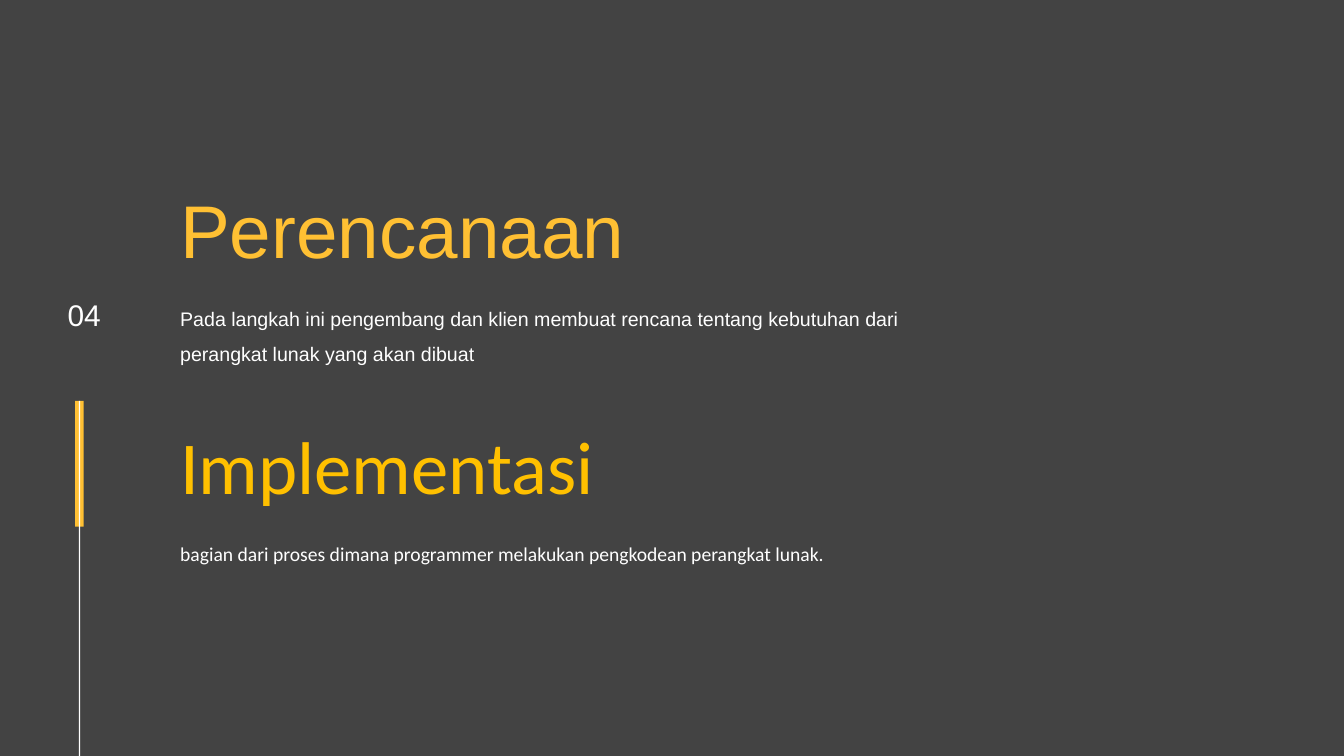
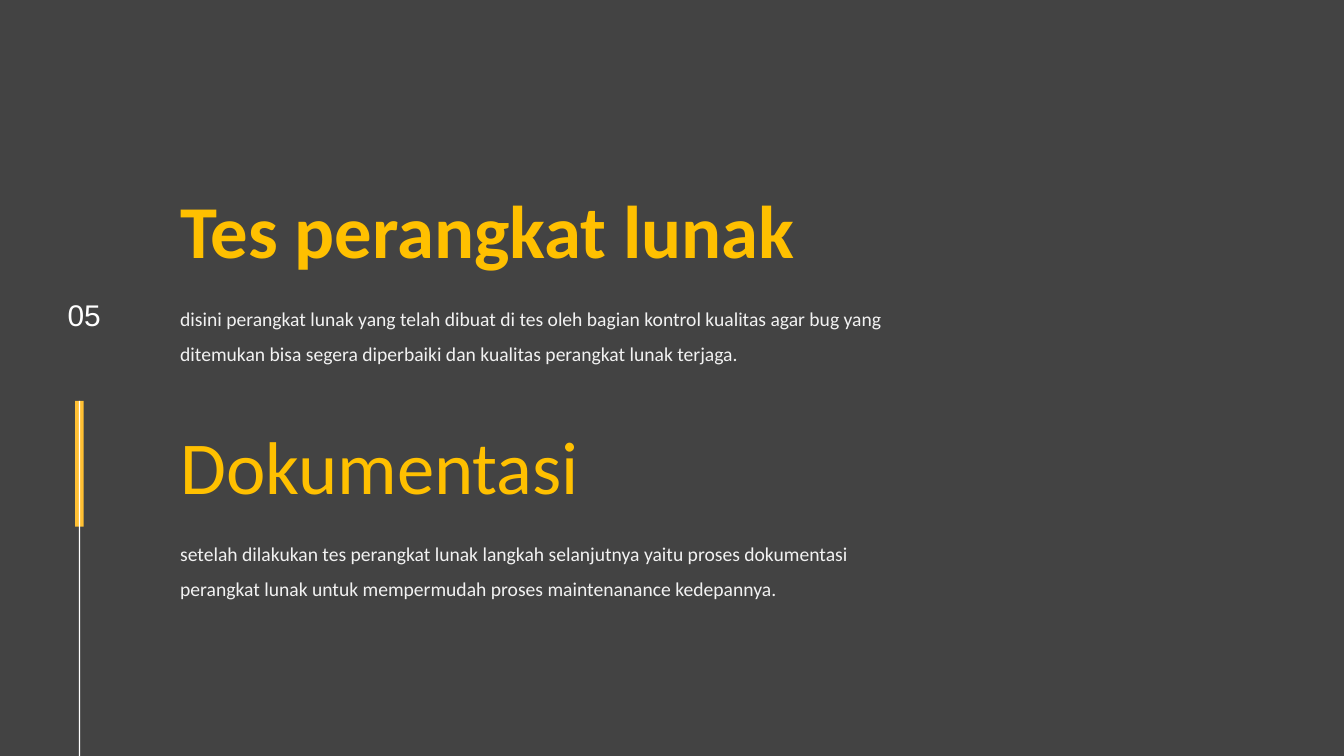
"""Build two dark section slides with a numbered rail and paired topics."""
from pptx import Presentation
from pptx.dml.color import RGBColor
from pptx.enum.shapes import MSO_SHAPE
from pptx.enum.text import MSO_ANCHOR, MSO_AUTO_SIZE, PP_ALIGN
from pptx.util import Cm, Pt
from lxml import etree

RECT = MSO_SHAPE.RECTANGLE
TOP = MSO_ANCHOR.TOP
FIXED = MSO_AUTO_SIZE.NONE
LEFT, MID = PP_ALIGN.LEFT, PP_ALIGN.CENTER

HUES = {"back": "434343", "amber": "FFC033", "gold": "FFC000",
        "white": "FFFFFF", "pale": "F2F2F2"}
WIDE, HIGH = 50.8, 28.58
EDGE = 6.81
FIRST, STEP, DROP = 6.63, 8.89, 4.52

PAGES = [
    ("04", "white", [
        ("Perencanaan", "Arial", "amber", False,
         "Pada langkah ini pengembang dan klien membuat rencana tentang "
         "kebutuhan dari perangkat lunak yang akan dibuat"),
        ("Implementasi", "Calibri", "gold", False,
         "bagian dari proses dimana programmer melakukan pengkodean "
         "perangkat lunak."),
    ]),
    ("05", "pale", [
        ("Tes perangkat lunak", "Calibri", "gold", True,
         "disini perangkat lunak yang telah dibuat di tes oleh bagian kontrol "
         "kualitas agar bug yang ditemukan bisa segera diperbaiki dan "
         "kualitas perangkat lunak terjaga."),
        ("Dokumentasi", "Calibri", "gold", False,
         "setelah dilakukan tes perangkat lunak langkah selanjutnya yaitu "
         "proses dokumentasi perangkat lunak untuk mempermudah proses "
         "maintenanance kedepannya."),
    ]),
]


def hue(name):
    return RGBColor.from_string(HUES[name])


def place(shape, x, y, w, h):
    shape.left, shape.top = Cm(x), Cm(y)
    shape.width, shape.height = Cm(w), Cm(h)


def write(shape, text, size, font, tint, bold=False, align=LEFT, lead=1.0):
    frame = shape.text_frame
    frame.text = text
    frame.word_wrap = True
    frame.auto_size = FIXED
    frame.vertical_anchor = TOP
    frame.margin_left = frame.margin_right = 0
    frame.margin_top = frame.margin_bottom = 0
    para = frame.paragraphs[0]
    para.alignment = align
    para.line_spacing = lead
    para.space_before = Pt(0)
    face = para.runs[0].font
    face.size, face.name, face.bold = Pt(size), font, bold
    face.color.rgb = hue(tint)


def plain(shape):
    props = shape.text_frame.paragraphs[0]._p.get_or_add_pPr()
    props.set("marL", "0")
    props.set("indent", "0")
    space = props.nsmap["a"]
    etree.SubElement(props, f"{{{space}}}buNone")


def bar(slide, x, y, w, h, tint):
    shape = slide.shapes.add_shape(RECT, Cm(x), Cm(y), Cm(w), Cm(h))
    shape.shadow.inherit = False
    shape.fill.solid()
    shape.fill.fore_color.rgb = hue(tint)
    shape.line.fill.background()


def rail(slide, label):
    top = 15.16
    bar(slide, 2.84, top, 0.32, 4.75, "amber")
    bar(slide, 2.98, top, 0.05, HIGH - top, "white")
    box = slide.shapes.add_textbox(Cm(1.85), Cm(11.2), Cm(2.67), Cm(1.22))
    write(box, label, 32, "Arial", "white", align=MID)


def topic(head, body, y, data, tint):
    title, font, tone, bold, text = data
    place(head, EDGE, y, 27.53, 3.2)
    write(head, title, 80, font, tone, bold, lead=1.1)
    place(body, EDGE, y + DROP, 28.3, 2.2)
    write(body, text, 21, font, tint, lead=1.5)
    plain(body)


def page(deck, label, tint, topics):
    slide = deck.slides.add_slide(deck.slide_layouts[3])
    rail(slide, label)
    bodies = list(slide.placeholders)[1:]
    extra = slide.shapes.add_textbox(0, 0, Cm(1), Cm(1))
    heads = [slide.shapes.title, extra]
    for row, (head, body, data) in enumerate(zip(heads, bodies, topics)):
        topic(head, body, FIRST + row * STEP, data, tint)


def main():
    deck = Presentation()
    deck.slide_width, deck.slide_height = Cm(WIDE), Cm(HIGH)
    fill = deck.slide_master.background.fill
    fill.solid()
    fill.fore_color.rgb = hue("back")
    for label, tint, topics in PAGES:
        page(deck, label, tint, topics)
    deck.save("out.pptx")


main()
